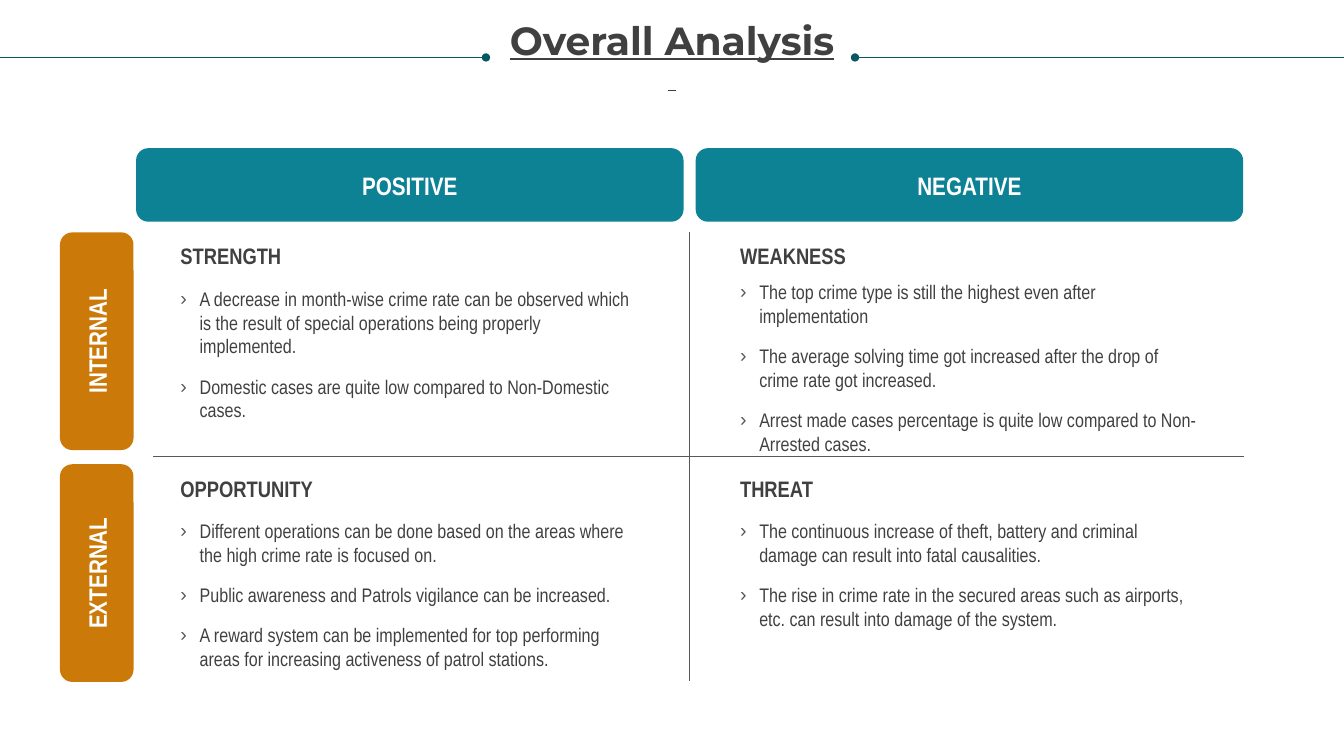
from lxml import etree
from pptx import Presentation
from pptx.dml.color import RGBColor
from pptx.enum.shapes import MSO_CONNECTOR, MSO_SHAPE
from pptx.enum.text import MSO_ANCHOR, PP_ALIGN
from pptx.oxml.ns import qn
from pptx.util import Inches, Pt

STRAIGHT = MSO_CONNECTOR.STRAIGHT
ROUNDED = MSO_SHAPE.ROUNDED_RECTANGLE
MIDDLE = MSO_ANCHOR.MIDDLE
CENTER = PP_ALIGN.CENTER

COLORS = {
    "teal": "0D8295",
    "dark_teal": "085764",
    "orange": "CB7A09",
    "text": "404040",
    "gray": "585858",
    "white": "FFFFFF",
}
BODY_FONT = "Arial Narrow"
TITLE_FONT = "Montserrat"

deck = Presentation()
deck.slide_width = Inches(13.33)
deck.slide_height = Inches(7.5)
page = deck.slides.add_slide(deck.slide_layouts[6])


def add_line(x1, y1, x2, y2, color, dot=None):
    line = page.shapes.add_connector(STRAIGHT, Inches(x1), Inches(y1), Inches(x2), Inches(y2))
    line.line.color.rgb = RGBColor.from_string(COLORS[color])
    line.line.width = Pt(0.79)
    if dot:
        etree.SubElement(line.line._get_or_add_ln(), qn(f"a:{dot}"), type="oval")
    etree.SubElement(line._element.spPr, qn("a:effectLst"))


def add_text(left, top, width, height, lines, size, bold=False, font=BODY_FONT):
    box = page.shapes.add_textbox(Inches(left), Inches(top), Inches(width), Inches(height))
    frame = box.text_frame
    frame.word_wrap = True
    frame.margin_left = frame.margin_right = frame.margin_top = frame.margin_bottom = 0
    frame.text = "\n".join(lines)
    for para in frame.paragraphs:
        for span in para.runs:
            span.font.name = font
            span.font.size = Pt(size)
            span.font.bold = bold
            span.font.color.rgb = RGBColor.from_string(COLORS["text"])
    return frame


add_line(8.48, 0.57, 13.33, 0.57, "dark_teal", "headEnd")
title = add_text(0.25, 0.21, 12.83, 0.73, ["Overall Analysis\v "], 28, True, TITLE_FONT).paragraphs[0]
title.alignment = CENTER
title.line_spacing = 0.9
for span in title.runs:
    span.font.underline = True
title.runs[1].font.size = Pt(20)
title.runs[1].font.bold = False
add_line(0, 0.57, 4.82, 0.57, "dark_teal", "tailEnd")

banners = [
    ("POSITIVE", 1.35, 1.47, 5.43, 0, "teal"),
    ("NEGATIVE", 6.9, 1.47, 5.43, 0, "teal"),
    ("EXTERNAL", -0.12, 5.32, 2.16, 270, "orange"),
    ("INTERNAL", -0.12, 3.02, 2.16, 270, "orange"),
]
for label, left, top, width, rotation, color in banners:
    banner = page.shapes.add_shape(ROUNDED, Inches(left), Inches(top), Inches(width), Inches(0.73))
    banner.rotation = rotation
    banner.shadow.inherit = False
    banner.fill.solid()
    banner.fill.fore_color.rgb = RGBColor.from_string(COLORS[color])
    banner.line.fill.background()
    banner.text_frame.vertical_anchor = MIDDLE
    para = banner.text_frame.paragraphs[0]
    para.text = label
    para.alignment = CENTER
    para.font.name = BODY_FONT
    para.font.size = Pt(18)
    para.font.bold = True
    para.runs[0].font.name = BODY_FONT
    para.runs[0].font.size = Pt(18)
    para.runs[0].font.bold = True
    para.runs[0].font.color.rgb = RGBColor.from_string(COLORS["white"])

add_line(1.52, 4.53, 12.34, 4.53, "gray")
add_line(6.84, 2.3, 6.84, 6.76, "gray")

quadrants = [
    ("STRENGTH", 1.79, 2.4, 2.85, 1.35, [
        "A decrease in month-wise crime rate can be observed which is the result of special operations being properly implemented.",
        "Domestic cases are quite low compared to Non-Domestic cases.",
    ]),
    ("WEAKNESS", 7.34, 2.4, 2.78, 1.75, [
        "The top crime type is still the highest even after implementation",
        "The average solving time got increased after the drop of crime rate got increased.",
        "Arrest made cases percentage is quite low compared to Non-Arrested cases.",
    ]),
    ("OPPORTUNITY", 1.79, 4.71, 5.15, 1.75, [
        "Different operations can be done based on the areas where the high crime rate is focused on.",
        "Public awareness and Patrols vigilance can be increased.",
        "A reward system can be implemented for top performing areas for increasing activeness of patrol stations.",
    ]),
    ("THREAT", 7.34, 4.71, 5.15, 1.11, [
        "The continuous increase of theft, battery and criminal damage can result into fatal causalities.",
        "The rise in crime rate in the secured areas such as airports, etc. can result into damage of the system.",
    ]),
]
for heading, left, heading_top, points_top, points_height, points in quadrants:
    add_text(left, heading_top, 4.55, 0.27, [heading], 16, True)
    frame = add_text(left, points_top, 4.55, points_height, points, 14)
    for index, para in enumerate(frame.paragraphs):
        props = para._p.get_or_add_pPr()
        props.set("marL", str(Inches(0.19)))
        props.set("indent", str(-Inches(0.19)))
        bullet_color = etree.SubElement(props, qn("a:buClr"))
        etree.SubElement(bullet_color, qn("a:srgbClr"), val=COLORS["gray"])
        etree.SubElement(props, qn("a:buFont"), typeface="Arial")
        etree.SubElement(props, qn("a:buChar"), char="›")
        if index:
            para.space_before = Pt(12)

deck.save("out.pptx")
